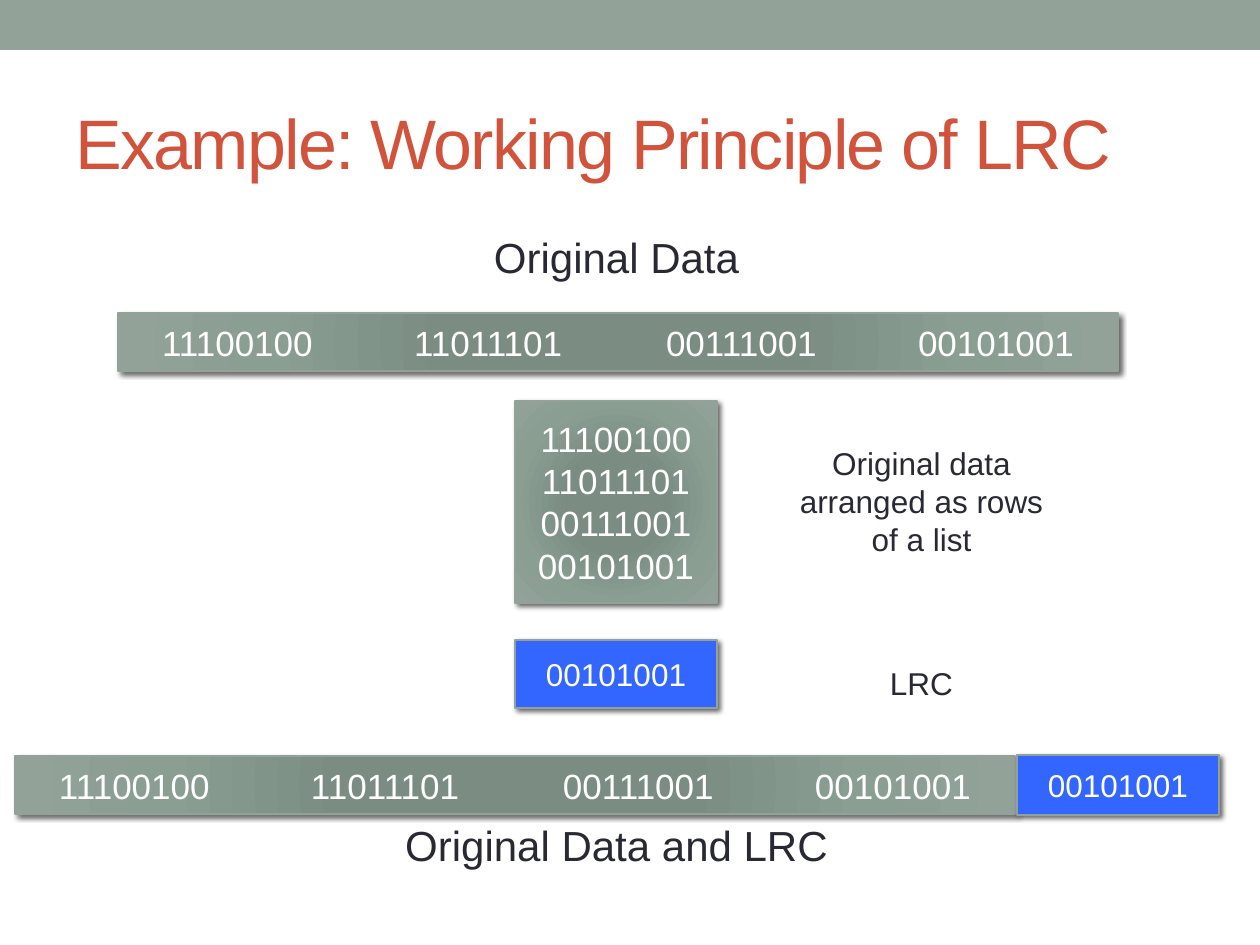
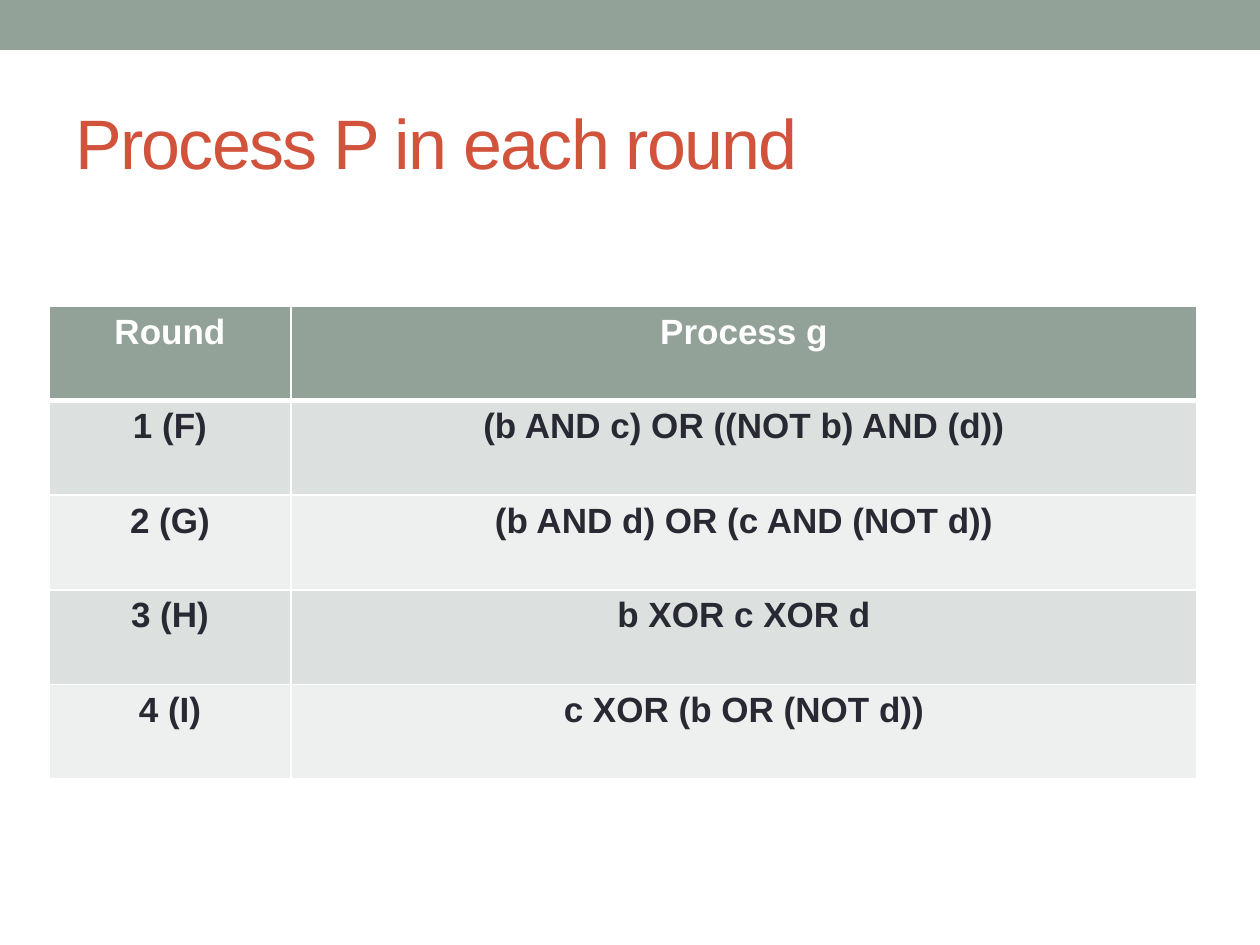
from dataclasses import dataclass

from lxml.etree import SubElement
from pptx import Presentation
from pptx.dml.color import RGBColor
from pptx.enum.shapes import MSO_SHAPE as Shape
from pptx.enum.text import MSO_ANCHOR as Anchor, PP_ALIGN as Align
from pptx.oxml import parse_xml
from pptx.oxml.ns import nsdecls, qn
from pptx.util import Pt


@dataclass(frozen=True)
class Theme:
    font: str = "Arial"
    sage: str = "93A299"
    rust: str = "D2533C"
    ink: str = "292934"
    white: str = "FFFFFF"
    blue: str = "3366FF"
    rows: tuple = ("DCE0DE", "EEF0EF")
    blend: tuple = ((0, "7B8E82"), (34, "7B8D83"), (70, "8A9E92"), (100, "93A299"))
    title: int = 40
    head: int = 24
    data: int = 20
    note: int = 18


T = Theme()
SCALE = 914400 / 126
WIDE, HIGH = 1260, 945
PITCH = 252
WORDS = ["11100100", "11011101", "00111001", "00101001"]
LRC = "00101001"
ROUNDS = [
    ("Round", "Process g"),
    ("1 (F)", "(b AND c) OR ((NOT b) AND (d))"),
    ("2 (G)", "(b AND d) OR (c AND (NOT d))"),
    ("3 (H)", "b XOR c XOR d"),
    ("4 (I)", "c XOR (b OR (NOT d))"),
]


def px(*sizes):
    return [round(size * SCALE) for size in sizes]


def rgb(color):
    return RGBColor.from_string(color)


def write(frame, text, size=T.note, color=T.ink, bold=False,
          align=Align.CENTER, anchor=Anchor.TOP, track=0, stops=()):
    """Fill a frame, one paragraph a line; track is in points, stops in px."""
    frame.word_wrap = True
    frame.vertical_anchor = anchor
    for num, line in enumerate(text.split("\n")):
        par = frame.add_paragraph() if num else frame.paragraphs[0]
        par.alignment = align
        if stops:
            tabs = SubElement(par._p.get_or_add_pPr(), qn("a:tabLst"))
            for stop in px(*stops):
                SubElement(tabs, qn("a:tab"), pos=str(stop), algn="l")
        run = par.add_run()
        run.text = line
        font = run.font
        font.name, font.size, font.bold = T.font, Pt(size), bold
        font.color.rgb = rgb(color)
        if track:
            run._r.get_or_add_rPr().set("spc", str(track * 100))


def label(slide, box, text, **style):
    write(slide.shapes.add_textbox(*px(*box)).text_frame, text, **style)


def block(slide, box, fill):
    shape = slide.shapes.add_shape(Shape.RECTANGLE, *px(*box))
    shape.shadow.inherit = False
    shape.fill.solid()
    shape.fill.fore_color.rgb = rgb(fill)
    shape.line.fill.background()
    return shape


def blend(shape):
    """Swap the solid fill for the round sage gradient."""
    stops = "".join(
        f'<a:gs pos="{pos * 1000}"><a:srgbClr val="{color}"/></a:gs>'
        for pos, color in T.blend)
    edge = " ".join(f'{side}="100000"' for side in "ltrb")
    grad = parse_xml(
        f'<a:gradFill {nsdecls("a")} rotWithShape="1"><a:gsLst>{stops}</a:gsLst>'
        f'<a:path path="circle"><a:fillToRect {edge}/></a:path></a:gradFill>')
    props = shape._element.spPr
    props.replace(props.find(qn("a:solidFill")), grad)


def card(slide, box, text, size=T.data, fill=None, **style):
    """Draw a shadowed bit field; without a fill it gets the gradient."""
    shape = block(slide, box, fill or T.sage)
    if not fill:
        blend(shape)
    shape.line.color.rgb = rgb(T.sage)
    shape.line.width = Pt(0.75)
    glow = SubElement(shape._element.spPr.find(qn("a:effectLst")), qn("a:outerShdw"),
                      blurRad=str(Pt(3)), dist=str(Pt(2)), dir="2700000",
                      algn="tl", rotWithShape="0")
    black = SubElement(glow, qn("a:srgbClr"), val="000000")
    SubElement(black, qn("a:alpha"), val="60000")
    write(shape.text_frame, text, size=size, color=T.white,
          anchor=Anchor.MIDDLE, **style)


def strip(slide, left, top):
    """Draw the four data words side by side."""
    stops = [PITCH * num for num in range(1, len(WORDS))]
    card(slide, (left, top, 1000, 58), "\t".join(WORDS), stops=stops)


def scheme(slide, box):
    """Draw the LRC steps from the data down to the data with its LRC."""
    left, top, width, height = box
    side, mid, note = 202, left + 500, left + 761
    label(slide, (left, top, width, 60), "Original Data", size=T.head)
    label(slide, (left, top + height - 60, width, 60),
          "Original Data and LRC", size=T.head)
    strip(slide, left + 103, top + 88)
    card(slide, (mid, top + 176, side, side), "\n".join(WORDS))
    label(slide, (note, top + 213, 291, 127),
          "Original data arranged as rows of a list")
    card(slide, (mid, top + 415, side, 68), LRC, T.note, T.blue)
    label(slide, (note, top + 433, 291, 50), "LRC")
    strip(slide, left, top + 531)
    card(slide, (left + 1002, top + 530, side, 60), LRC, T.note, T.blue)


def rule(cell, **widths):
    """Give the cell white borders, widths in points by side."""
    props = cell._tc.get_or_add_tcPr()
    for num, side in enumerate("LRTB"):
        width = Pt(widths.get(side, 1))
        props.insert(num, parse_xml(
            f'<a:ln{side} {nsdecls("a")} w="{width}"><a:solidFill>'
            f'<a:srgbClr val="{T.white}"/></a:solidFill></a:ln{side}>'))


def grid(slide, box, first):
    """Draw the table of rounds; first is the width of its first column."""
    table = slide.shapes.add_table(len(ROUNDS), 2, *px(*box)).table
    for col, width in zip(table.columns, px(first, box[2] - first)):
        col.width = width
    for num, texts in enumerate(ROUNDS):
        fill = T.rows[(num - 1) % 2] if num else T.sage
        thick = {0: {"B": 3}, 1: {"T": 3}}.get(num, {})
        for cell, text in zip(table.rows[num].cells, texts):
            cell.fill.solid()
            cell.fill.fore_color.rgb = rgb(fill)
            rule(cell, **thick)
            write(cell.text_frame, text, size=T.data, bold=True,
                  color=T.ink if num else T.white)


def page(deck, title):
    """Add a slide with the top band and its title."""
    slide = deck.slides.add_slide(deck.slide_layouts[6])
    block(slide, (0, 0, WIDE, 50), T.sage)
    label(slide, (63, 73, 1134, 136), title, size=T.title, color=T.rust,
          align=Align.LEFT, anchor=Anchor.MIDDLE, track=-1)
    return slide


def main():
    deck = Presentation()
    deck.slide_width, deck.slide_height = px(WIDE, HIGH)
    scheme(page(deck, "Example: Working Principle of LRC"), (15, 225, 1203, 648))
    grid(page(deck, "Process P in each round"), (49, 306, 1148, 473), 242)
    deck.save("out.pptx")


if __name__ == "__main__":
    main()
